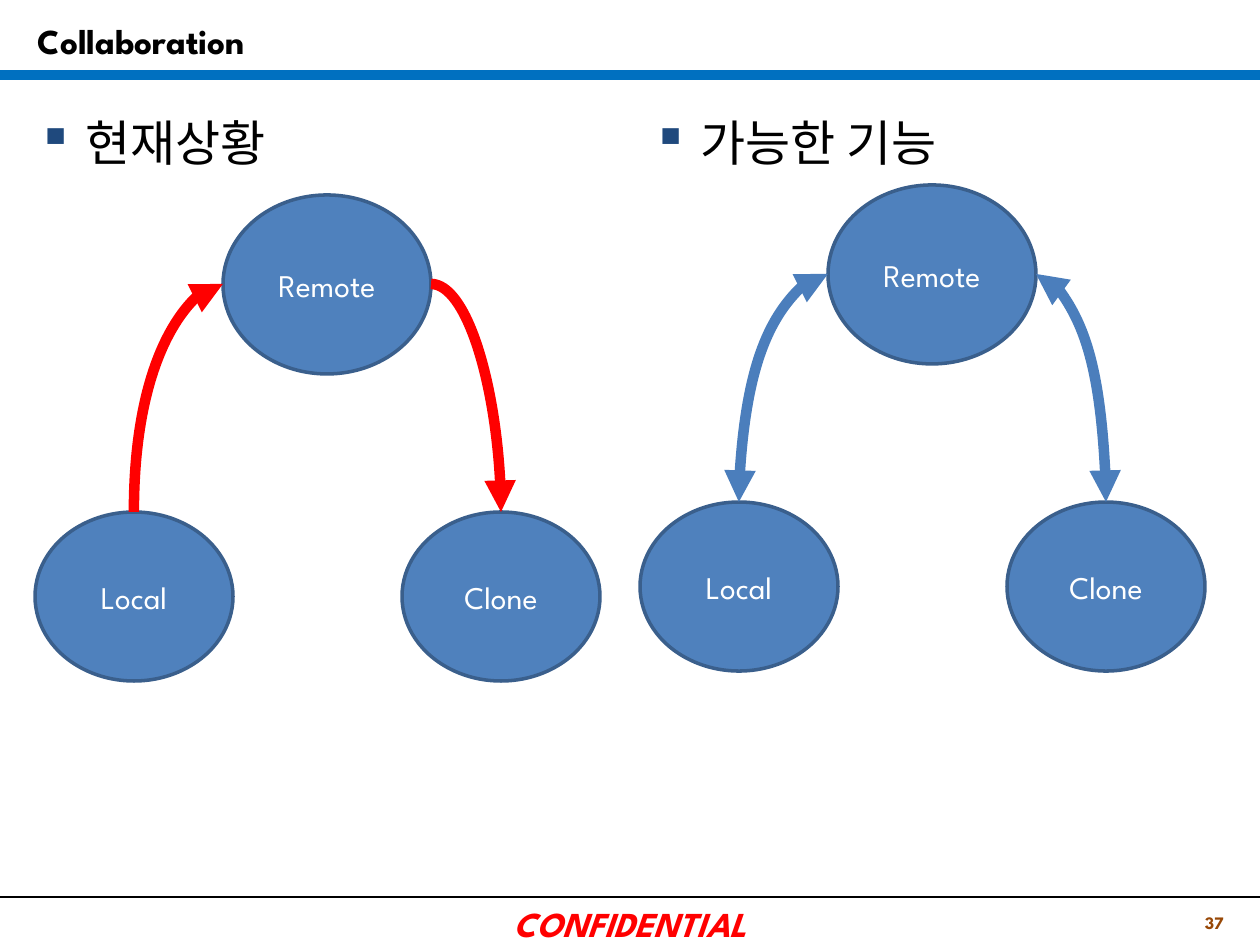
from lxml import etree
from pptx import Presentation
from pptx.dml.color import RGBColor
from pptx.enum.shapes import MSO_CONNECTOR as Connector, MSO_SHAPE as Shape
from pptx.enum.text import MSO_ANCHOR as Anchor, MSO_AUTO_SIZE as AutoSize, PP_ALIGN as Align
from pptx.oxml.ns import qn
from pptx.util import Emu, Pt

PX_PER_INCH = 126


def px(*lengths):
    return [Emu(round(length * 914400 / PX_PER_INCH)) for length in lengths]


def color(hex_string):
    return RGBColor.from_string(hex_string)


class SlideBuilder:
    font_name = "League Spartan"
    node_fill, node_line = "4F81BD", "3A5F8C"
    bullet_color = "1F497D"

    def __init__(self, slide):
        self.slide = slide

    def set_text(self, shape, text, size, hex_color, align=Align.LEFT,
                 anchor=Anchor.MIDDLE, bold=False, italic=False, bullet=None):
        frame = shape.text_frame
        frame.word_wrap = True
        frame.auto_size = AutoSize.NONE
        frame.vertical_anchor = anchor
        frame.text = text
        paragraph = frame.paragraphs[0]
        paragraph.alignment = align
        if bullet:
            self.add_bullet(paragraph, bullet)
        font = paragraph.font
        font.name, font.size = self.font_name, Pt(size)
        font.bold, font.italic = bold, italic
        font.color.rgb = color(hex_color)

    def add_bullet(self, paragraph, character):
        properties = paragraph._p.get_or_add_pPr()
        indent = px(48)[0]
        properties.set("marL", str(indent))
        properties.set("indent", str(-indent))
        bullet_color = etree.SubElement(properties, qn("a:buClr"))
        etree.SubElement(bullet_color, qn("a:srgbClr"), val=self.bullet_color)
        etree.SubElement(properties, qn("a:buChar"), char=character)

    def title(self, text, box):
        shape = self.slide.shapes.title
        shape.left, shape.top, shape.width, shape.height = px(*box)
        self.set_text(shape, text, 20, "000000", bold=True)

    def text(self, text, box, size, hex_color, **style):
        shape = self.slide.shapes.add_textbox(*px(*box))
        self.set_text(shape, text, size, hex_color, **style)

    def node(self, text, box):
        shape = self.slide.shapes.add_shape(Shape.OVAL, *px(*box))
        shape.shadow.inherit = False
        shape.fill.solid()
        shape.fill.fore_color.rgb = color(self.node_fill)
        shape.line.color.rgb = color(self.node_line)
        shape.line.width = Pt(2)
        self.set_text(shape, text, 18, "FFFFFF", align=Align.CENTER)

    def line(self, start, end, hex_color, width, kind=Connector.STRAIGHT):
        connector = self.slide.shapes.add_connector(kind, *px(*start, *end))
        connector.line.color.rgb = color(hex_color)
        connector.line.width = Pt(width)
        etree.SubElement(connector._element.spPr, qn("a:effectLst"))
        return connector

    def curve(self, start, end, hex_color, arrow_ends):
        """Quarter curve that leaves sideways and arrives from above."""
        connector = self.line(start, end, hex_color, 6, Connector.CURVE)
        geometry = connector._element.spPr.find(qn("a:prstGeom"))
        geometry.set("prst", "curvedConnector2")
        line = connector._element.spPr.find(qn("a:ln"))
        for arrow_end in arrow_ends:
            etree.SubElement(line, qn(f"a:{arrow_end}"), type="triangle")

    def repository_diagram(self, left, top, hex_color, local_ends, clone_ends):
        remote_left, remote_width, remote_height = left + 188, 208, 179
        node_width, node_height = 198, 169
        lower_top, clone_left = top + 317, left + 367
        self.node("Local", (left, lower_top, node_width, node_height))
        self.node("Remote", (remote_left, top, remote_width, remote_height))
        self.node("Clone", (clone_left, lower_top, node_width, node_height))
        middle = top + remote_height // 2
        self.curve((remote_left, middle), (left + node_width // 2, lower_top),
                   hex_color, local_ends)
        self.curve((remote_left + remote_width, middle),
                   (clone_left + node_width // 2, lower_top),
                   hex_color, clone_ends)


def main():
    presentation = Presentation()
    presentation.slide_width, presentation.slide_height = px(1260, 945)
    builder = SlideBuilder(presentation.slides.add_slide(presentation.slide_layouts[5]))

    # Header and footer
    builder.line((0, 897), (1260, 897), "000000", 1)
    builder.line((0, 75), (1260, 75), "0070C0", 6)
    builder.title("Collaboration", (25, 13, 992, 55))
    builder.text("CONFIDENTIAL", (431, 908, 399, 30), 20, "FF0000",
                 align=Align.CENTER, bold=True, italic=True)
    builder.text("37", (1105, 908, 131, 29), 10, "984807",
                 align=Align.RIGHT, bold=True)

    # Column headings
    for heading, left in (("현재상황", 25), ("가능한 기능", 640)):
        builder.text(heading, (left, 106, 595, 764), 28, "000000",
                     anchor=Anchor.TOP, bullet="▪")

    # One-way flow today, two-way flow as an option
    both_ends = ("headEnd", "tailEnd")
    builder.repository_diagram(35, 195, "FF0000", ("headEnd",), ("tailEnd",))
    builder.repository_diagram(640, 185, "4B7EBC", both_ends, both_ends)

    presentation.save("out.pptx")


if __name__ == "__main__":
    main()
